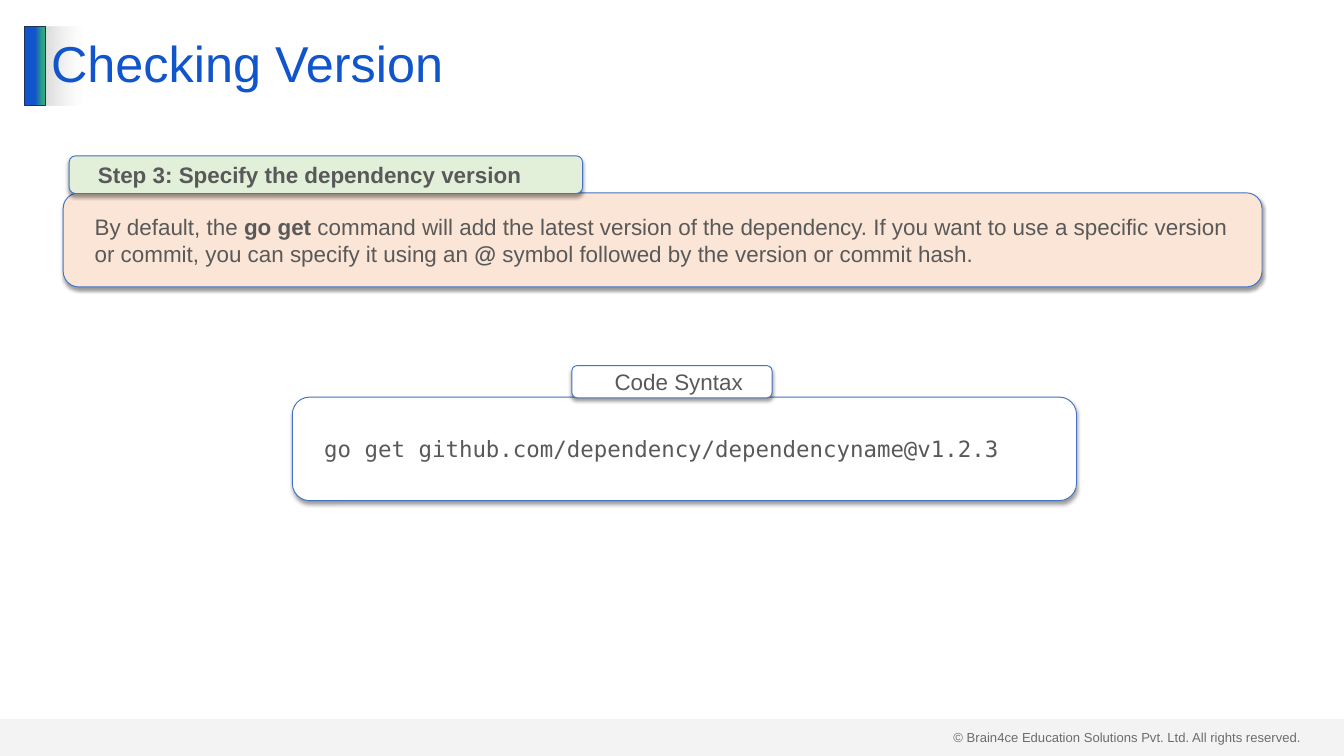
from lxml import etree
from pptx import Presentation
from pptx.dml.color import RGBColor
from pptx.enum.shapes import MSO_SHAPE
from pptx.enum.text import MSO_ANCHOR, MSO_AUTO_SIZE, PP_ALIGN
from pptx.oxml.ns import qn
from pptx.util import Inches, Pt

RECTANGLE = MSO_SHAPE.RECTANGLE
ROUNDED = MSO_SHAPE.ROUNDED_RECTANGLE
MIDDLE = MSO_ANCHOR.MIDDLE
NO_AUTOFIT = MSO_AUTO_SIZE.NONE
LEFT, CENTER = PP_ALIGN.LEFT, PP_ALIGN.CENTER
TITLE_ONLY = 5
SANS, MONO = "Arial", "DejaVu Sans Mono"

COLORS = {
    "title": "1155CC",
    "accent": "2EA87D",
    "accent_line": "1E3256",
    "gray": "D9D9D9",
    "white": "FFFFFF",
    "black": "000000",
    "text": "595959",
    "footer": "404040",
    "outline": "4472C4",
    "peach": "FBE5D6",
    "green": "E2F0D9",
}


def rgb(name):
    return RGBColor.from_string(COLORS[name])


def add_color(parent, name, alpha=100):
    color = etree.SubElement(parent, qn("a:srgbClr"), val=COLORS[name])
    if alpha < 100:
        etree.SubElement(color, qn("a:alpha"), val=str(alpha * 1000))


def set_gradient(shape, stops):
    """Fill from left to right; stops are (percent, colour, alpha)."""
    shape.fill.gradient()
    shape.fill.gradient_angle = 0
    stop_list = shape._element.spPr.find(".//" + qn("a:gsLst"))
    for old_stop in list(stop_list):
        stop_list.remove(old_stop)
    for percent, name, alpha in stops:
        stop = etree.SubElement(stop_list, qn("a:gs"), pos=str(percent * 1000))
        add_color(stop, name, alpha)


def add_shadow(shape):
    effects = shape._element.spPr.find(qn("a:effectLst"))
    shadow = etree.SubElement(
        effects, qn("a:outerShdw"), blurRad=str(Pt(4)), dist=str(Pt(3)),
        dir=str(90 * 60000), algn="t", rotWithShape="0")
    add_color(shadow, "black", 40)


def write(para, text, size=24, font=SANS, color="text", align=LEFT):
    """Write text into a paragraph; parts between ** marks are bold."""
    para.alignment = align
    for index, part in enumerate(text.split("**")):
        if part:
            span = para.add_run()
            span.text = part
            span.font.size = Pt(size)
            span.font.name = font
            span.font.bold = index % 2 == 1
            span.font.color.rgb = rgb(color)


class SlideBuilder:
    def __init__(self, deck):
        self.slide = deck.slides.add_slide(deck.slide_layouts[TITLE_ONLY])

    def title(self, place, text):
        title = self.slide.shapes.title
        title.left, title.top, title.width, title.height = map(Inches, place)
        set_gradient(title, [(0, "gray", 100), (3, "white", 50)])
        frame = title.text_frame
        frame.auto_size = NO_AUTOFIT
        frame.vertical_anchor = MIDDLE
        frame.paragraphs[0].line_spacing = 0.9
        write(frame.paragraphs[0], text, size=54, color="title")

    def shape(self, kind, place, line=None):
        shape = self.slide.shapes.add_shape(kind, *map(Inches, place))
        shape.shadow.inherit = False
        if line:
            shape.line.color.rgb = rgb(line)
            shape.line.width = Pt(1)
        else:
            shape.line.fill.background()
        return shape

    def accent(self, place):
        bar = self.shape(RECTANGLE, place, line="accent_line")
        set_gradient(bar, [(51, "title", 100), (90, "accent", 100),
                           (100, "accent", 100)])

    def footer(self, text):
        box = self.slide.shapes.add_textbox(
            *map(Inches, (14.09, 10.8, 5.41, 0.34)))
        box.text_frame.word_wrap = True
        write(box.text_frame.paragraphs[0], text, size=14, color="footer")
        band = self.shape(RECTANGLE, (0, 10.7, 20, 0.55))
        band.fill.solid()
        band.fill.fore_color.rgb = rgb("gray")
        color = band._element.spPr.find(qn("a:solidFill")).find(qn("a:srgbClr"))
        etree.SubElement(color, qn("a:alpha"), val="29000")

    def card(self, place, text, fill="white", **style):
        card = self.shape(ROUNDED, place, line="outline")
        card.fill.solid()
        card.fill.fore_color.rgb = rgb(fill)
        add_shadow(card)
        frame = card.text_frame
        frame.word_wrap = True
        frame.vertical_anchor = MIDDLE
        frame.margin_left = frame.margin_right = Inches(0.2)
        frame.margin_top = frame.margin_bottom = Inches(0.1)
        para = frame.paragraphs[0]
        para._p.get_or_add_pPr().set("marL", str(Inches(0.2)))
        write(para, text, **style)


def main():
    deck = Presentation()
    deck.slide_width, deck.slide_height = Inches(20), Inches(11.25)
    page = SlideBuilder(deck)
    page.footer("© Brain4ce Education Solutions Pvt. Ltd. All rights reserved.")
    page.accent((0.37, 0.39, 0.3, 1.18))
    page.title((0.66, 0.39, 18.67, 1.18), "Checking Version")
    page.card(
        (0.94, 2.87, 17.84, 1.4),
        "By default, the **go get** command will add the latest version of the "
        "dependency. If you want to use a specific version or commit, you can "
        "specify it using an **@** symbol followed by the version or commit hash.",
        fill="peach")
    page.card((4.35, 5.91, 11.67, 1.54),
              "go get github.com/dependency/dependencyname@v1.2.3", font=MONO)
    page.card((8.51, 5.44, 2.98, 0.48), "Code Syntax", align=CENTER)
    page.card((1.03, 2.32, 7.64, 0.56),
              "**Step 3: Specify the dependency version**", fill="green")
    deck.save("out.pptx")


if __name__ == "__main__":
    main()
